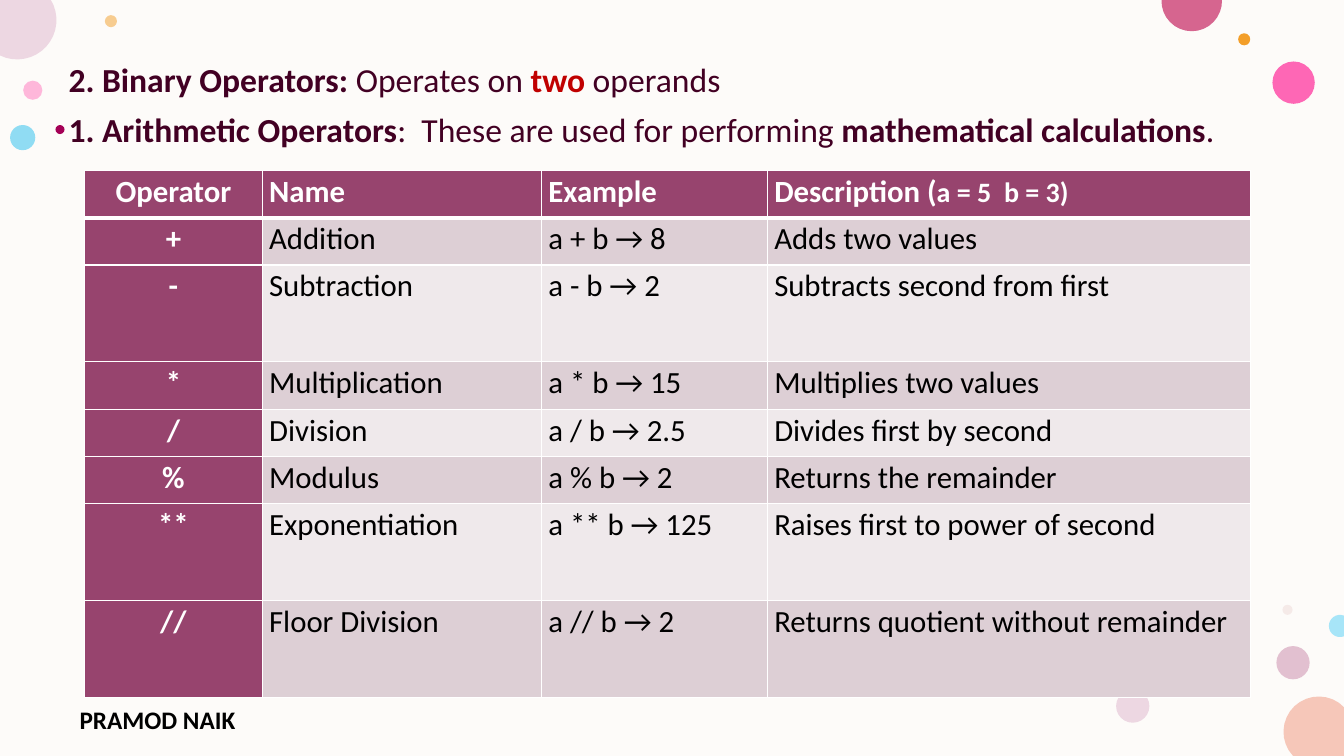
from math import cos, radians, sin

from lxml.etree import SubElement
from pptx import Presentation
from pptx.dml.color import RGBColor
from pptx.enum.shapes import MSO_SHAPE
from pptx.enum.text import MSO_AUTO_SIZE, PP_ALIGN
from pptx.oxml.ns import qn
from pptx.util import Inches, Pt

W, H = 13.33, 7.5
FONT = "Calibri"
PLUM, INK, RED, BLACK, WHITE = "97446E", "420023", "C00000", "000000", "FFFFFF"
BANDS = ("DDCFD5", "EFE9EB")

# left, top, diameter, colour, opacity in percent
DOTS = [
    (0.23, 0.8, 0.19, "FF75BD", 50),
    (1.04, 0.15, 0.12, "F39E29", 50),
    (12.66, 6.41, 0.33, "C987A8", 50),
    (0.1, 1.24, 0.25, "24BEEE", 50),
    (12.62, 0.61, 0.42, "FF2F9C", 72),
    (12.28, 0.33, 0.12, "F39E29", 100),
    (12.72, 6, 0.1, "E3BEBE", 28),
    (11.07, 6.84, 0.33, "EDD7E2", 100),
    (0.55, 1.24, 0.09, "A40056", 100),
]
# centre x, centre y, radius, first and last angle of the arc, slide corners, colour
EDGE_DOTS = [
    (13.08, 7.26, 0.35, 137, 316, [(W, H)], "F6C7B9"),
    (0.17, 0.2, 0.39, -31, 116, [(0, 0)], "EDD7E2"),
    (11.82, 0.01, 0.3, -2, 182, [], "D6658F"),
    (13.29, 6.21, 0.11, 70, 290, [], "A7E5F8"),
]
ARC_STEPS = 16

HEADER = ("Operator", "Name", "Example", "Description (")
OPERATORS = [
    ("+", "Addition", "a + b → 8", "Adds two values"),
    ("-", "Subtraction", "a - b → 2", "Subtracts second from first"),
    ("*", "Multiplication", "a * b → 15", "Multiplies two values"),
    ("/", "Division", "a / b → 2.5", "Divides first by second"),
    ("%", "Modulus", "a % b → 2", "Returns the remainder"),
    ("**", "Exponentiation", "a ** b → 125", "Raises first to power of second"),
    ("//", "Floor Division", "a // b → 2", "Returns quotient without remainder"),
]
COLUMNS = (1.76, 2.77, 2.24, 4.79)
ROW, TALL_ROW = 0.47, 0.96
TALL = {"-", "**", "//"}


def rgb(value):
    return RGBColor.from_string(value)


def add_text(p, text, size=22, color=BLACK, bold=False):
    r = p.add_run()
    r.text = text
    r.font.name, r.font.size, r.font.bold = FONT, Pt(size), bold
    r.font.color.rgb = rgb(color)


def paint(sp, color, opacity=100):
    sp.shadow.inherit = False
    sp.line.fill.background()
    sp.fill.solid()
    sp.fill.fore_color.rgb = rgb(color)
    if opacity < 100:
        clr = sp.fill._xPr.find(qn("a:solidFill"))[0]
        SubElement(clr, qn("a:alpha"), val=str(opacity * 1000))


def add_shape(s, kind, x, y, w, h, color, opacity=100):
    paint(s.shapes.add_shape(kind, *map(Inches, (x, y, w, h))), color, opacity)


def add_edge_dot(s, x, y, r, first, last, corners, color):
    """Draw the part of a circle that lies inside the slide's edge."""
    angles = [radians(first + (last - first) * i / ARC_STEPS)
              for i in range(ARC_STEPS + 1)]
    arc = [(min(max(x + r * cos(a), 0), W), min(max(y + r * sin(a), 0), H))
           for a in angles]
    points = [(Inches(px), Inches(py)) for px, py in arc + corners]
    outline = s.shapes.build_freeform(*points[0])
    outline.add_line_segments(points[1:], close=True)
    paint(outline.convert_to_shape(), color)


def add_backdrop(s):
    add_shape(s, MSO_SHAPE.RECTANGLE, 0, 0, W, H, "FDFBF9")
    for x, y, d, color, opacity in DOTS:
        add_shape(s, MSO_SHAPE.OVAL, x, y, d, d, color, opacity)
    for dot in EDGE_DOTS:
        add_edge_dot(s, *dot)


def add_intro(s, x, y, w, h):
    body = s.placeholders[1]
    s.shapes._spTree.append(body.element)
    body.left, body.top, body.width, body.height = map(Inches, (x, y, w, h))
    tf = body.text_frame
    tf.auto_size = MSO_AUTO_SIZE.NONE
    lines = [
        [("2. Binary Operators: ", INK, True), ("Operates on ", INK, False),
         ("two", RED, True), (" operands", INK, False)],
        [("1. Arithmetic Operators", INK, True),
         (":  These are used for performing ", INK, False),
         ("mathematical calculations", INK, True), (".", INK, False)],
    ]
    for i, line in enumerate(lines):
        p = tf.add_paragraph() if i else tf.paragraphs[0]
        pPr = p._p.get_or_add_pPr()
        pPr.set("marL", "0")
        pPr.set("indent", "0")
        SubElement(pPr, qn("a:buNone"))
        p.line_spacing = 0.9
        p.space_before = Pt(10 if i else 0)
        for text, color, bold in line:
            add_text(p, text, size=24, color=color, bold=bold)


def add_borders(cell, top, bottom):
    tcPr = cell._tc.get_or_add_tcPr()
    for side, width in (("L", 1), ("R", 1), ("T", top), ("B", bottom)):
        ln = SubElement(tcPr, qn(f"a:ln{side}"), w=str(Pt(width)))
        SubElement(SubElement(ln, qn("a:solidFill")), qn("a:srgbClr"), val=WHITE)


def add_operator_table(s, x, y):
    rows = [HEADER] + OPERATORS
    heights = [TALL_ROW if row[0] in TALL else ROW for row in rows]
    frame = s.shapes.add_table(len(rows), len(COLUMNS), Inches(x), Inches(y),
                               Inches(sum(COLUMNS)), Inches(sum(heights)))
    table = frame.table
    for column, width in zip(table.columns, COLUMNS):
        column.width = Inches(width)
    for i, (row, height) in enumerate(zip(rows, heights)):
        table.rows[i].height = Inches(height)
        for j, text in enumerate(row):
            cell = table.cell(i, j)
            heading = i == 0 or j == 0
            add_borders(cell, top=3 if i == 1 else 1, bottom=1 if i else 3)
            cell.fill.solid()
            cell.fill.fore_color.rgb = rgb(PLUM if heading else BANDS[(i - 1) % 2])
            cell.margin_left = cell.margin_right = Inches(0.07)
            cell.margin_top = cell.margin_bottom = 0
            p = cell.text_frame.paragraphs[0]
            p.alignment = PP_ALIGN.LEFT if j else PP_ALIGN.CENTER
            p.line_spacing, p.space_after = 1.07, Pt(8)
            add_text(p, text, color=WHITE if heading else BLACK, bold=heading)
    add_text(table.cell(0, 3).text_frame.paragraphs[0], "a = 5  b = 3)",
             size=20, color=WHITE, bold=True)


def add_author(s, x, y, w, h):
    tf = s.shapes.add_textbox(*map(Inches, (x, y, w, h))).text_frame
    tf.word_wrap = True
    add_text(tf.paragraphs[0], "PRAMOD NAIK", size=18, bold=True)


def main():
    prs = Presentation()
    prs.slide_width, prs.slide_height = Inches(W), Inches(H)
    s = prs.slides.add_slide(prs.slide_layouts[1])
    title = s.shapes.title.element
    title.getparent().remove(title)
    add_backdrop(s)
    add_author(s, 0.69, 6.94, 2.45, 0.32)
    add_intro(s, 0.58, 0.58, 11.81, 6.18)
    add_operator_table(s, 0.84, 1.69)
    prs.save("out.pptx")


if __name__ == "__main__":
    main()
